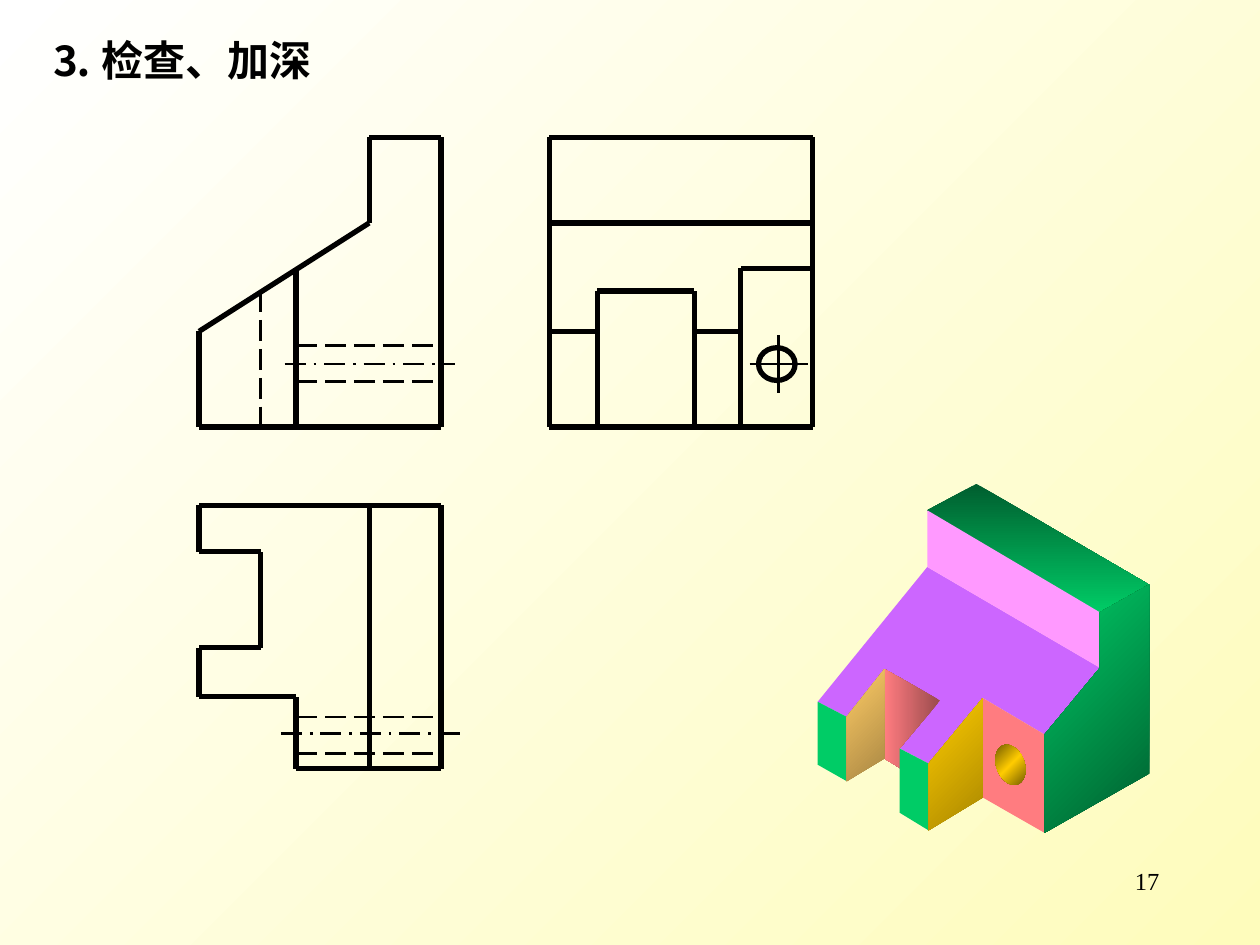
"""Build the slide with three views of a bracket and its solid model."""
from copy import deepcopy
from dataclasses import dataclass
from itertools import pairwise
from math import cos, pi, sin

from lxml.etree import SubElement
from pptx import Presentation
from pptx.dml.color import RGBColor as Rgb
from pptx.enum.dml import MSO_LINE as Dash
from pptx.enum.shapes import MSO_CONNECTOR as Conn, MSO_SHAPE as Kind
from pptx.enum.text import MSO_AUTO_SIZE as Auto, PP_ALIGN as Align
from pptx.oxml.ns import qn
from pptx.util import Inches, Pt


@dataclass(frozen=True)
class Theme:
    ink: str = "000000"
    font: str = "Times New Roman"
    head: int = 24
    page: int = 14
    bold: float = 3
    thin: float = 1.5
    back: tuple = (225, "FEFCBC", "FFFFFF")
    slope: str = "CC66FF"
    step: str = "FF99FF"
    front: str = "FF7C80"
    end: str = "00CC66"
    notch: tuple = (180, "9A4B4D", "FF7C80")
    top: tuple = (90, "005E2F", "00CC66")
    side: tuple = (225, "005E2F", "00CC66")
    tan: tuple = (225, "A98743", "FFCC66")
    gold: tuple = (225, "A98700", "FFCC00")
    hole: tuple = (225, "755E00", "FFCC00", "755E00")


THEME = Theme()
WIDE, HIGH = 10, 7.5

COLS = dict(zip("abcdefghij", (1.58, 2.07, 2.35, 2.93, 3.5,
                              4.36, 4.74, 5.51, 5.88, 6.45)))
ROWS = (1.09, 1.77, 2.13, 2.31, 2.63, 2.74, 2.89, 3.03, 3.39,
        4.01, 4.38, 5.14, 5.53, 5.69, 5.82, 5.98, 6.1)

PLAN = ("a10 e10 e17 c17 c13 a13 a12 b12 b11 a11 a10", "d17 d10")
FRONT = ("d1 e1 e9 a9 a5 d2 d1", "c3 c9")
SIDE = ("f1 j1 j9 f9 f1", "f2 j2", "g9 g4 h4 h9", "f5 g5", "h5 i5", "i9 i3 j3")
HIDDEN = ("c14 e14", "c16 e16", "b4 b9", "c6 e6", "c8 e8")

NODES = {
    "A": (7.36, 4.05), "B": (7.75, 3.84), "C": (9.12, 4.64), "D": (8.73, 4.86),
    "E": (7.36, 4.5), "F": (8.73, 5.3), "G": (6.49, 5.57), "H": (6.72, 5.69),
    "I": (7.02, 5.31), "J": (7.46, 5.56), "K": (7.14, 5.94), "L": (7.37, 6.06),
    "M": (7.8, 5.54), "N": (8.29, 5.83), "O": (9.12, 6.14), "P": (8.29, 6.61),
    "Q": (7.8, 6.33), "R": (7.37, 6.59), "S": (7.14, 6.45), "T": (6.72, 6.2),
    "U": (6.49, 6.07), "V": (7.02, 6.02), "W": (7.15, 6.1),
}
FACES = (
    ("EGHIJKLMNF", THEME.slope), ("MNPQ", THEME.front),
    ("IJKWV", THEME.notch), ("ABCD", THEME.top), ("AEFD", THEME.step),
    ("COPNFD", THEME.side), ("GHTU", THEME.end), ("KLRS", THEME.end),
    ("HIVT", THEME.tan), ("LRQM", THEME.gold),
)


def paint(fill, root, tone):
    """Fill with one colour, or with an angle and evenly spaced stops."""
    if isinstance(tone, str):
        fill.solid()
        fill.fore_color.rgb = Rgb.from_string(tone)
        return
    turn, *tints = tone
    fill.gradient()
    fill.gradient_angle = 360 - turn
    stops = next(root.iter(qn("a:gsLst")))
    while len(stops) < len(tints):
        stops.append(deepcopy(stops[0]))
    for i, (stop, tint) in enumerate(zip(fill.gradient_stops, tints)):
        stop.color.rgb = Rgb.from_string(tint)
        stop.position = i / (len(tints) - 1)


def ink(line, width, dash=None):
    """Set the stroke of a line."""
    line.color.rgb = Rgb.from_string(THEME.ink)
    line.width = Pt(width)
    if dash:
        line.dash_style = dash


def rule(shapes, start, end, width, dash=None):
    """Draw one straight line between two points."""
    ends = [Inches(v) for v in (*start, *end)]
    item = shapes.add_connector(Conn.STRAIGHT, *ends)
    ink(item.line, width, dash)
    SubElement(item._element.spPr, qn("a:effectLst"))


def cell(name):
    """Turn a grid name into a point."""
    return COLS[name[0]], ROWS[int(name[1:]) - 1]


def trace(shapes, routes, width, dash=None):
    """Draw each route of grid names as joined lines."""
    for route in routes:
        for start, end in pairwise(map(cell, route.split())):
            rule(shapes, start, end, width, dash)


def face(shapes, points, tone):
    """Draw a closed outline with no stroke."""
    first, *rest = [(Inches(x), Inches(y)) for x, y in points]
    pen = shapes.build_freeform(*first)
    pen.add_line_segments(rest, close=True)
    item = pen.convert_to_shape()
    item.shadow.inherit = False
    item.line.fill.background()
    paint(item.fill, item._element, tone)


def label(shapes, box, text, size, bold=False, align=None, wrap=True):
    """Write one run of text in a box given as shares of the slide."""
    x, y, w, h = box
    item = shapes.add_textbox(Inches(x * WIDE), Inches(y * HIGH),
                              Inches(w * WIDE), Inches(h * HIGH))
    frame = item.text_frame
    frame.word_wrap = wrap
    if not wrap:
        frame.auto_size = Auto.SHAPE_TO_FIT_TEXT
    para = frame.paragraphs[0]
    para.alignment = align
    run = para.add_run()
    run.text = text
    font = run.font
    font.name, font.size, font.bold = THEME.font, Pt(size), bold
    font.color.rgb = Rgb.from_string(THEME.ink)


def views(shapes):
    """Draw the three views with hidden edges and centre lines."""
    rule(shapes, (6.18, 2.66), (6.18, 3.12), THEME.thin)
    rule(shapes, (5.95, 2.89), (6.41, 2.89), THEME.thin)
    ring = shapes.add_shape(Kind.OVAL, *map(Inches, (6.02, 2.76, 0.29, 0.26)))
    ring.shadow.inherit = False
    ring.fill.background()
    ink(ring.line, THEME.bold)
    for left, right, row in ((2.23, 3.65, 15), (2.26, 3.61, 7)):
        y = ROWS[row - 1]
        rule(shapes, (left, y), (right, y), THEME.thin, Dash.LONG_DASH_DOT)
    trace(shapes, HIDDEN, THEME.thin, Dash.LONG_DASH)
    trace(shapes, PLAN + FRONT + SIDE, THEME.bold)


def solid(shapes):
    """Draw the faces of the solid model and its hole."""
    for names, tone in FACES:
        face(shapes, [NODES[n] for n in names], tone)
    turns = [2 * pi * i / 32 for i in range(32)]
    bore = [(8.02 + 0.12 * cos(t), 6.07 + 0.16 * sin(t + 0.26)) for t in turns]
    face(shapes, bore, THEME.hole)


def main():
    """Build and save the deck."""
    deck = Presentation()
    deck.slide_width, deck.slide_height = Inches(WIDE), Inches(HIGH)
    slide = deck.slides.add_slide(deck.slide_layouts[6])
    paint(slide.background.fill, slide._element, THEME.back)
    shapes = slide.shapes
    views(shapes.add_group_shape().shapes)
    label(shapes, (0.03, 0.03, 0.23, 0.07), "⒊ 检查、加深", THEME.head,
          bold=True, wrap=False)
    solid(shapes.add_group_shape().shapes)
    label(shapes, (0.72, 0.91, 0.21, 0.07), "17", THEME.page, align=Align.RIGHT)
    deck.save("out.pptx")


if __name__ == "__main__":
    main()
